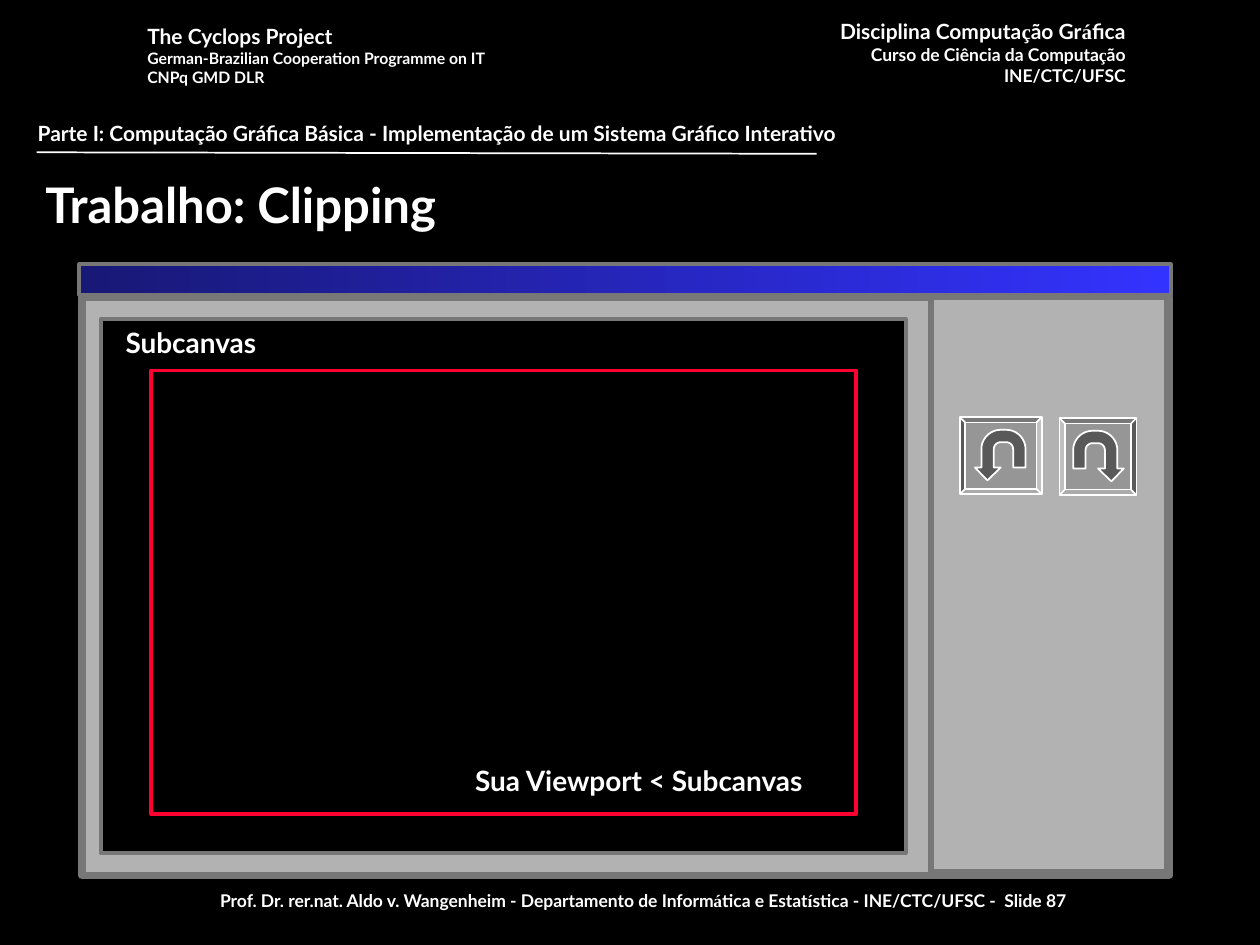
import math

import pptx
import pptx.dml.color
import pptx.enum.shapes
import pptx.enum.text
import pptx.oxml.ns
import pptx.util
from lxml import etree

Cm, Pt = pptx.util.Cm, pptx.util.Pt
SHAPE = pptx.enum.shapes.MSO_SHAPE
ALIGN = pptx.enum.text.PP_ALIGN
WHITE, BLACK, PANEL, EDGE = "FFFFFF", "000000", "B2B2B2", "777777"


def colour(value):
    return pptx.dml.color.RGBColor.from_string(value)


class SlideBuilder:
    font = "Lato"
    accent_font = "Times New Roman"

    def __init__(self, page):
        self.page = page
        page.background.fill.solid()
        page.background.fill.fore_color.rgb = colour(BLACK)

    def fill_para(self, para, words, size, align=ALIGN.LEFT):
        """Set the words; every second part between bars takes the accent font."""
        para.alignment = align
        para.font.size, para.font.bold = Pt(size), True
        para.font.name = self.font
        para.font.color.rgb = colour(WHITE)
        for index, part in enumerate(words.split("|")):
            span = para.add_run()
            span.text = part
            if index % 2:
                span.font.name = self.accent_font

    def title(self, words, size, *place):
        box = self.page.shapes.title
        box.left, box.top, box.width, box.height = map(Cm, place)
        box.text_frame.vertical_anchor = pptx.enum.text.MSO_ANCHOR.MIDDLE
        self.fill_para(box.text_frame.paragraphs[0], words, size)

    def text(self, lines, *place, align=ALIGN.LEFT, wrap=False, before=0):
        box = self.page.shapes.add_textbox(*map(Cm, place))
        frame = box.text_frame
        frame.word_wrap = wrap
        frame.auto_size = pptx.enum.text.MSO_AUTO_SIZE.SHAPE_TO_FIT_TEXT
        for index, (words, size) in enumerate(lines):
            para = frame.add_paragraph() if index else frame.paragraphs[0]
            para.space_before = Pt(before)
            self.fill_para(para, words, size, align)

    def paint(self, shape, fill, line, weight):
        shape.shadow.inherit = False
        if fill is None:
            shape.fill.background()
        elif isinstance(fill, tuple):
            shape.fill.gradient()
            shape.fill.gradient_angle = 0
            for stop, value in zip(shape.fill.gradient_stops, fill):
                stop.color.rgb = colour(value)
        else:
            shape.fill.solid()
            shape.fill.fore_color.rgb = colour(fill)
        shape.line.color.rgb = colour(line)
        shape.line.width = Pt(weight)

    def shape(self, kind, fill, line, weight, *place):
        shape = self.page.shapes.add_shape(kind, *map(Cm, place))
        self.paint(shape, fill, line, weight)
        return shape

    def rule(self, *ends):
        line = self.page.shapes.add_connector(
            pptx.enum.shapes.MSO_CONNECTOR.STRAIGHT, *map(Cm, ends))
        line.line.color.rgb = colour(WHITE)
        line.line.width = Pt(1)
        etree.SubElement(line.element.spPr, pptx.oxml.ns.qn("a:effectLst"))

    def outline(self, points, fill, line, weight):
        points = [(Cm(x), Cm(y)) for x, y in points]
        builder = self.page.shapes.build_freeform(*points[0])
        builder.add_line_segments(points[1:], close=True)
        self.paint(builder.convert_to_shape(), fill, line, weight)

    def turn_button(self, left, top, width, height, side):
        """Bevelled button whose arrow points down on side -1 (left) or 1."""
        bevel = self.shape(SHAPE.BEVEL, "969696", WHITE, 1, left, top, width, height)
        bevel.adjustments[0] = 0.07
        if side < 0:
            bevel.rotation = 180
        else:
            bevel.element.spPr.xfrm.set("flipV", "1")
        middle_x, middle_y = left + width / 2, top + height / 2
        points = (
            [(-0.25, 0.24), (-0.5, 0.24)]
            + arch(0.39)
            + [(0.39, 0.24), (0.52, 0.24), (0.27, 0.5), (0, 0.24), (0.14, 0.24)]
            + arch(0.14)[::-1]
        )
        self.outline([(middle_x + side * x, middle_y + y) for x, y in points],
                     "595959", WHITE, 1)


def arch(radius):
    """Two quarter circles joined by a flat top, from left to right."""
    return [
        (centre + radius * math.cos(math.radians(angle)),
         -0.13 - radius * math.sin(math.radians(angle)))
        for centre, start in ((-0.11, 180), (0, 90))
        for angle in range(start, start - 91, -10)
    ]


def main():
    deck = pptx.Presentation()
    deck.slide_width, deck.slide_height = Cm(25.4), Cm(19.05)
    slide = SlideBuilder(deck.slides.add_slide(deck.slide_layouts[5]))

    # Header, footer and title
    slide.text([("Disciplina Computa|ç|ão Gr|á|fica", 12),
                ("Curso de Ciência da Computa|ç|ão", 10),
                ("INE/CTC/UFSC", 10)],
               16.03, 0.25, 6.91, 1.63, align=ALIGN.RIGHT)
    slide.text([("The Cyclops Project", 12),
                ("German-Brazilian Cooperation Programme on IT", 9),
                ("CNPq GMD DLR", 9)],
               2.72, 0.36, 8.15, 1.52)
    slide.text([("Prof. Dr. rer.nat. Aldo v. Wangenheim - Departamento de Inform|á|tica"
                 " e Estat|í|stica - INE/CTC/UFSC -  Slide 87", 10)],
               1.75, 17.81, 22.43, 0.74, align=ALIGN.CENTER, wrap=True, before=6.2)
    slide.rule(0.74, 3.07, 16.46, 3.1)
    slide.text([("Parte I: Computação Gráfica Básica - Implementação de um "
                 "Sistema Gráfico Interativo", 12)],
               0.51, 2.31, 24.13, 0.76, wrap=True)
    slide.title("Trabalho: Clipping", 28, 0.66, 3.28, 23.88, 1.65)

    # Application window: body, side panel, title bar, canvas
    for fill, weight, place in (
        (PANEL, 4.5, (1.65, 5.99, 21.92, 11.66)),
        (PANEL, 3, (18.77, 5.99, 4.75, 11.58)),
        (("181876", "3333FF"), 2.25, (1.6, 5.33, 22, 0.61)),
        (BLACK, 2.25, (2.03, 6.43, 16.23, 10.77)),
    ):
        slide.shape(SHAPE.RECTANGLE, fill, EDGE, weight, *place)

    # Viewport inside the canvas
    slide.text([("Subcanvas", 16)], 2.11, 6.43, 3.48, 0.94, align=ALIGN.CENTER)
    slide.shape(SHAPE.RECTANGLE, None, "FF0033", 2.25, 3.05, 7.47, 14.2, 8.94)
    slide.text([("Sua Viewport < Subcanvas", 16)], 8.97, 15.27, 7.82, 0.94,
               align=ALIGN.CENTER)

    # Buttons on the side panel
    slide.turn_button(19.35, 8.41, 1.65, 1.55, side=-1)
    slide.turn_button(21.36, 8.43, 1.55, 1.55, side=1)

    deck.save("out.pptx")


if __name__ == "__main__":
    main()
